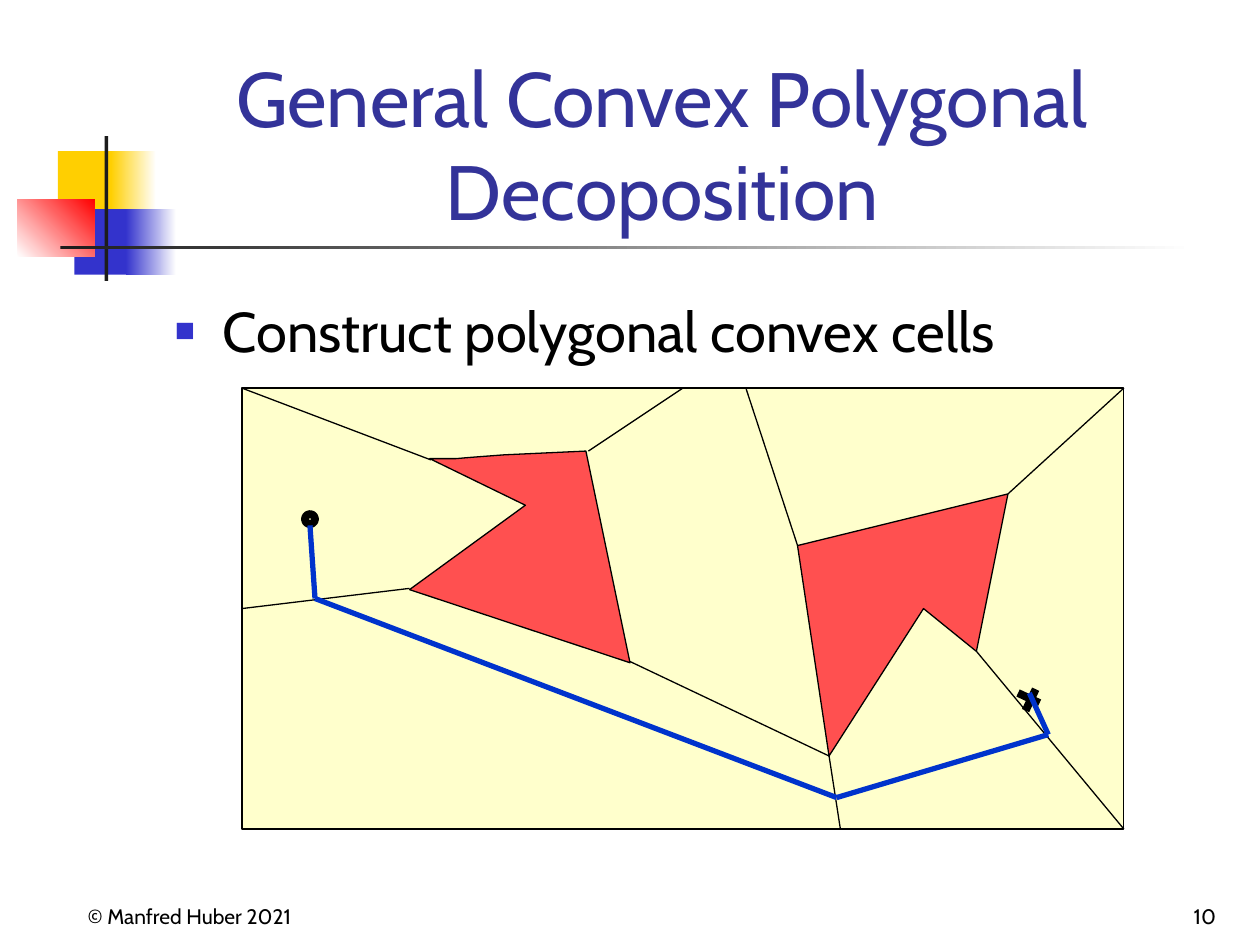
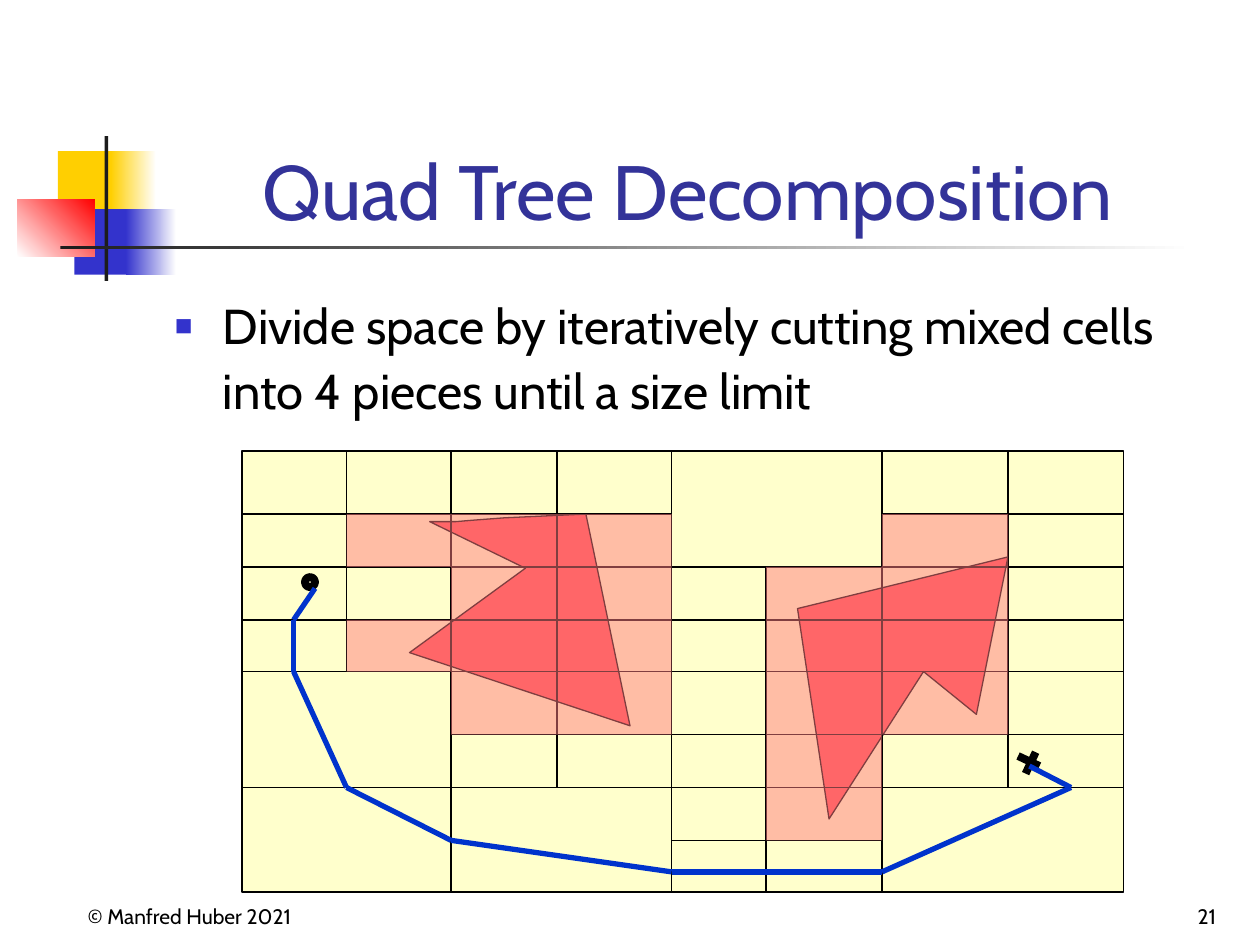
"""Build two slides on cell decomposition for robot path planning."""
from dataclasses import dataclass
from itertools import pairwise

from lxml import etree
from pptx import Presentation
from pptx import util as u
from pptx.dml.color import RGBColor
from pptx.enum import shapes, text
from pptx.oxml.ns import qn
from pptx.slide import Slide

Point = tuple[float, float]

FONT = "Cabin"
COLORS = {
    "white": "FFFFFF", "black": "000000", "yellow": "FFCF01", "blue": "3333CC",
    "red": "FF0000", "bar": "1C1C1C", "title": "333399", "free": "FFFFCC",
    "obstacle": "FF5050", "mixed": "FF7C80", "route": "0033CC",
}


@dataclass(frozen=True)
class Block:
    """Decorative rectangle, plain or fading to a second colour."""
    left: float
    top: float
    width: float
    height: float
    color: str
    fade: str = ""
    angle: float = 0


@dataclass(frozen=True)
class Label:
    """Text box with one paragraph."""
    left: float
    top: float
    width: float
    height: float
    size: float
    color: str = "black"
    align: text.PP_ALIGN = text.PP_ALIGN.LEFT
    anchor: text.MSO_ANCHOR = text.MSO_ANCHOR.BOTTOM
    bullet: bool = False
    space_before: float = 0


DECORATION = [
    Block(0.46, 1.2, 0.48, 0.52, "yellow"),
    Block(0.88, 1.2, 0.36, 0.52, "yellow", "white"),
    Block(0.59, 1.66, 0.46, 0.52, "blue"),
    Block(1, 1.66, 0.4, 0.52, "blue", "white"),
    Block(0.14, 1.58, 0.61, 0.46, "white", "red", 45),
    Block(0.83, 1.08, 0.03, 1.15, "bar"),
    Block(0.48, 1.95, 9, 0.03, "bar", "white"),
]
FOOTER = Label(0.33, 6.92, 2.08, 0.5, 12, align=text.PP_ALIGN.RIGHT)
NUMBER = Label(7.42, 6.92, 2.33, 0.5, 12, align=text.PP_ALIGN.RIGHT)

MAP_LEFT, MAP_WIDTH, MAP_HEIGHT = 1.92, 7, 3.5
OBSTACLES = [
    [(4.65, 0.5), (4, 0.53), (3.74, 0.55), (3.62, 0.56), (3.41, 0.56),
     (4.17, 0.93), (3.25, 1.6), (5, 2.18)],
    [(6.33, 1.25), (6.58, 2.92), (7.33, 1.75), (7.75, 2.09), (8, 0.84)],
]
GOAL_CROSS = [((8.08, 2.42), (8.25, 2.5)), ((8.14, 2.56), (8.22, 2.39))]

CELL_BORDERS = [
    ((3.42, 3.65), (1.92, 3.08)), ((3.25, 4.67), (1.92, 4.83)),
    ((4.67, 3.58), (5.42, 3.08)), ((5, 5.25), (6.58, 6)),
    ((6.58, 6), (6.67, 6.58)), ((6.33, 4.33), (5.92, 3.08)),
    ((7.75, 5.17), (8.92, 6.58)), ((8, 3.92), (8.92, 3.08)),
]
POLYGON_ROUTE = [(2.46, 4.17), (2.5, 4.75), (6.64, 6.33), (8.32, 5.83), (8.17, 5.5)]

GRID_X = [1.92, 2.75, 3.58, 4.42, 5.33, 6.08, 7, 8, 8.92]
GRID_Y = [3.58, 4.08, 4.5, 4.92, 5.33, 5.83, 6.25, 6.67, 7.08]
WHOLE_CELLS = {(4, 0), (0, 4), (0, 6), (2, 6), (6, 6)}
MIXED_AREAS = [
    [(1, 1), (4, 1), (4, 5), (2, 5), (2, 4), (1, 4), (1, 3), (2, 3), (2, 2), (1, 2)],
    [(5, 2), (6, 2), (6, 1), (7, 1), (7, 5), (6, 5), (6, 7), (5, 7)],
]
QUAD_ROUTE = [(2.5, 4.67), (2.33, 4.92), (2.33, 5.33), (2.75, 6.25), (3.58, 6.67),
              (5.33, 6.92), (7, 6.92), (8.5, 6.25), (8.17, 6.08)]


def rgb(name: str) -> RGBColor:
    return RGBColor.from_string(COLORS[name])


def paint(shape, fill: str, line_width: float = 0) -> None:
    shape.shadow.inherit = False
    shape.fill.solid()
    shape.fill.fore_color.rgb = rgb(fill)
    if line_width:
        shape.line.color.rgb = rgb("black")
        shape.line.width = u.Pt(line_width)
    else:
        shape.line.fill.background()


def add_preset(page: Slide, kind, left: float, top: float, width: float, height: float):
    return page.shapes.add_shape(
        kind, u.Inches(left), u.Inches(top), u.Inches(width), u.Inches(height))


def add_block(page: Slide, block: Block) -> None:
    shape = add_preset(page, shapes.MSO_SHAPE.RECTANGLE,
                       block.left, block.top, block.width, block.height)
    paint(shape, block.color)
    if block.fade:
        shape.fill.gradient()
        shape.fill.gradient_angle = block.angle
        for stop, color in zip(shape.fill.gradient_stops, (block.color, block.fade)):
            stop.color.rgb = rgb(color)


def add_bullet(para) -> None:
    props = para._p.get_or_add_pPr()
    props.set("marL", str(u.Inches(0.38)))
    props.set("indent", str(-u.Inches(0.38)))
    color = etree.SubElement(props, qn("a:buClr"))
    etree.SubElement(color, qn("a:srgbClr"), val=COLORS["blue"])
    etree.SubElement(props, qn("a:buSzPct"), val="60000")
    etree.SubElement(props, qn("a:buFont"), typeface="Arial")
    etree.SubElement(props, qn("a:buChar"), char="■")


def add_label(page: Slide, label: Label, words: str) -> None:
    box = page.shapes.add_textbox(u.Inches(label.left), u.Inches(label.top),
                                  u.Inches(label.width), u.Inches(label.height))
    frame = box.text_frame
    frame.word_wrap = True
    frame.vertical_anchor = label.anchor
    para = frame.paragraphs[0]
    para.text = words
    para.alignment = label.align
    if label.bullet:
        add_bullet(para)
        para.line_spacing = 1.1
        para.space_before = u.Pt(label.space_before)
    para.font.name = FONT
    para.font.size = u.Pt(label.size)
    para.font.color.rgb = rgb(label.color)


def add_line(page: Slide, start: Point, end: Point,
             color: str = "black", width: float = 0.75) -> None:
    line = page.shapes.add_connector(
        shapes.MSO_CONNECTOR.STRAIGHT, *(u.Inches(value) for value in start + end))
    line.line.color.rgb = rgb(color)
    line.line.width = u.Pt(width)
    etree.SubElement(line._element.spPr, qn("a:effectLst"))


def add_route(page: Slide, points: list[Point]) -> None:
    for start, end in pairwise(points):
        add_line(page, start, end, "route", 3)


def add_outline(page: Slide, points: list[Point]):
    corners = [(u.Inches(x), u.Inches(y)) for x, y in points]
    builder = page.shapes.build_freeform(*corners[0])
    builder.add_line_segments(corners[1:], close=True)
    return builder.convert_to_shape()


def add_map(page: Slide, top: float) -> None:
    area = add_preset(page, shapes.MSO_SHAPE.RECTANGLE, MAP_LEFT, top, MAP_WIDTH, MAP_HEIGHT)
    paint(area, "free", 0.75)
    for outline in OBSTACLES:
        paint(add_outline(page, [(x, top + y) for x, y in outline]), "obstacle", 0.75)
    start_mark = add_preset(page, shapes.MSO_SHAPE.OVAL, 2.42, top + 1, 0.08, 0.08)
    paint(start_mark, "free", 4.5)
    for (x1, y1), (x2, y2) in GOAL_CROSS:
        add_line(page, (x1, top + y1), (x2, top + y2), width=4.5)


def split_cell(page: Slide, column: int, row: int, size: int) -> None:
    if size == 1 or (size == 2 and (column, row) in WHOLE_CELLS):
        return
    half = size // 2
    middle_x, middle_y = GRID_X[column + half], GRID_Y[row + half]
    add_line(page, (middle_x, GRID_Y[row]), (middle_x, GRID_Y[row + size]))
    add_line(page, (GRID_X[column], middle_y), (GRID_X[column + size], middle_y))
    for next_row in (row, row + half):
        for next_column in (column, column + half):
            split_cell(page, next_column, next_row, half)


def add_mixed_area(page: Slide, corners: list[tuple[int, int]]) -> None:
    area = add_outline(page, [(GRID_X[column], GRID_Y[row]) for column, row in corners])
    paint(area, "mixed")
    color = area._element.spPr.find(qn("a:solidFill"))[0]
    etree.SubElement(color, qn("a:alpha"), val="50000")


def add_page(deck, title: str, title_width: float, bullet: str, bullet_size: float,
             space_before: float, number: str) -> Slide:
    page = deck.slides.add_slide(deck.slide_layouts[6])
    for block in DECORATION:
        add_block(page, block)
    add_label(page, FOOTER, "© Manfred Huber 2021")
    add_label(page, NUMBER, number)
    add_label(page, Label(1.42, 0.67, title_width, 1.25, 44, "title",
                          text.PP_ALIGN.CENTER), title)
    add_label(page, Label(1.29, 2.25, 8.5, 1.5, bullet_size, anchor=text.MSO_ANCHOR.TOP,
                          bullet=True, space_before=space_before), bullet)
    return page


def add_polygon_page(deck) -> None:
    page = add_page(deck, "General Convex Polygonal Decoposition", 7.67,
                    "Construct polygonal convex cells", 32, 8, "10")
    add_map(page, 3.08)
    for start, end in CELL_BORDERS:
        add_line(page, start, end)
    add_route(page, POLYGON_ROUTE)


def add_quad_tree_page(deck) -> None:
    page = add_page(deck, "Quad Tree Decomposition", 8.08,
                    "Divide space by iteratively cutting mixed cells into 4 pieces "
                    "until a size limit", 28, 7, "21")
    add_map(page, 3.58)
    split_cell(page, 0, 0, 8)
    for corners in MIXED_AREAS:
        add_mixed_area(page, corners)
    add_route(page, QUAD_ROUTE)


def main() -> None:
    deck = Presentation()
    deck.slide_width, deck.slide_height = u.Inches(10), u.Inches(7.5)
    add_polygon_page(deck)
    add_quad_tree_page(deck)
    deck.save("out.pptx")


if __name__ == "__main__":
    main()
